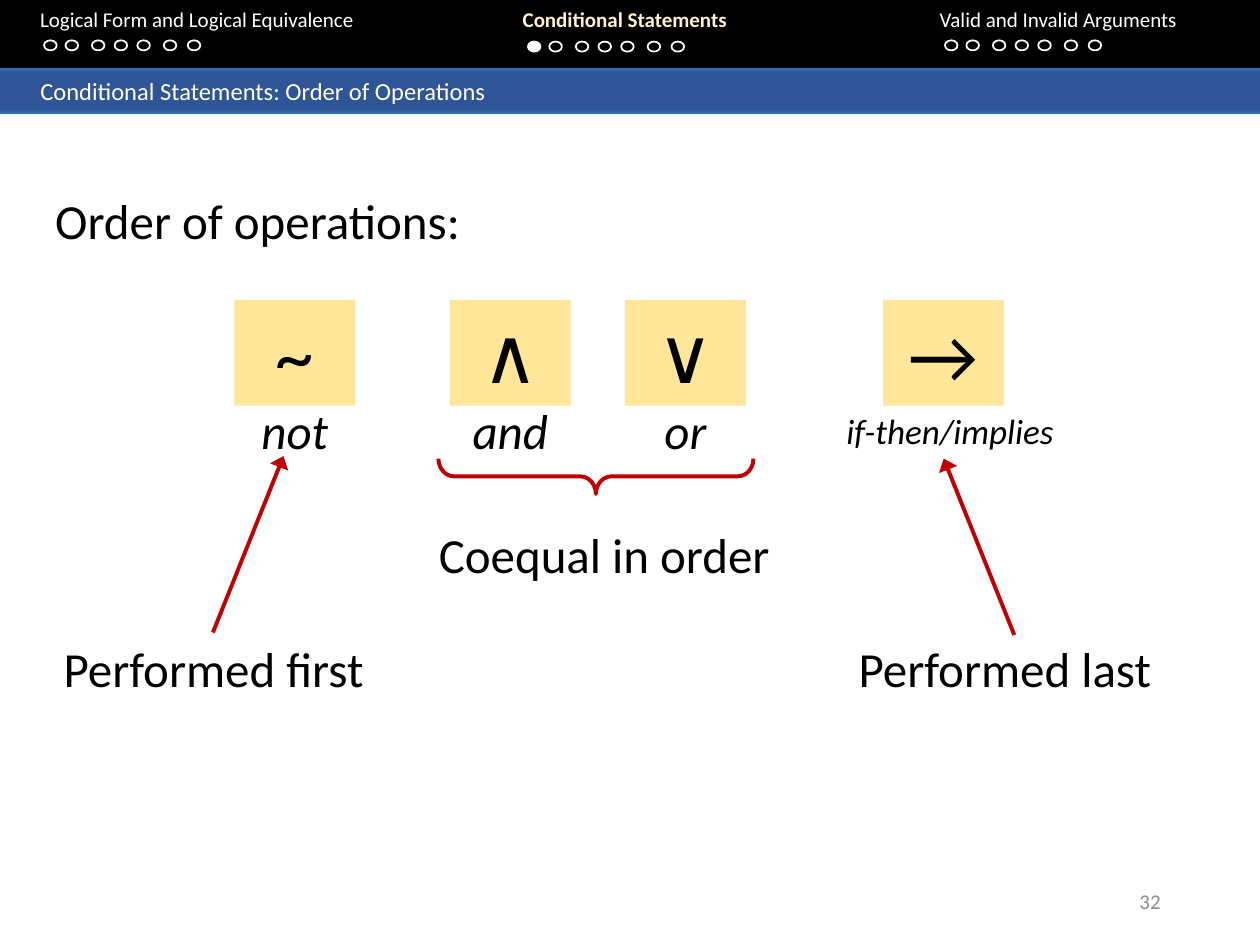
from lxml.etree import SubElement
from pptx import Presentation
from pptx.dml.color import RGBColor
from pptx.enum.shapes import MSO_CONNECTOR, MSO_SHAPE
from pptx.enum.text import MSO_ANCHOR, PP_ALIGN
from pptx.oxml import parse_xml
from pptx.oxml.ns import nsdecls, qn
from pptx.util import Inches, Pt

THEME = {
    "font": "Calibri",
    "black": "000000", "white": "FFFFFF", "active": "FFF2CC",
    "edge": "2E75B6", "bar": "2F5597", "tile": "FFE699",
    "accent": "C00000", "muted": "8C8C8C",
    "nav": 12, "title": 14, "small": 20, "body": 28, "symbol": 44,
}

prs = Presentation()
prs.slide_width, prs.slide_height = Inches(10), Inches(7.5)
slide = prs.slides.add_slide(prs.slide_layouts[6])


def add_text(text, left, top, width, height, size="body", color="black", bold=False,
             italic=False, align=PP_ALIGN.CENTER, anchor=MSO_ANCHOR.TOP, inside=None):
    """Write one line of text in a new text box, or in the shape given as inside."""
    holder = inside or slide.shapes.add_textbox(
        Inches(left), Inches(top), Inches(width), Inches(height))
    frame = holder.text_frame
    frame.word_wrap = True
    frame.vertical_anchor = anchor
    paragraph = frame.paragraphs[0]
    paragraph.alignment = align
    run = paragraph.add_run()
    run.text = text
    run.font.name = THEME["font"]
    run.font.size = Pt(THEME[size])
    run.font.bold, run.font.italic = bold, italic
    run.font.color.rgb = RGBColor.from_string(THEME[color])
    return holder


def add_figure(preset, left, top, width, height, fill=None, line=None, weight=1):
    """Draw a preset shape with an optional fill and outline."""
    figure = slide.shapes.add_shape(
        preset, Inches(left), Inches(top), Inches(width), Inches(height))
    figure.shadow.inherit = False
    if fill:
        figure.fill.solid()
        figure.fill.fore_color.rgb = RGBColor.from_string(THEME[fill])
    else:
        figure.fill.background()
    if line:
        figure.line.color.rgb = RGBColor.from_string(THEME[line])
        figure.line.width = Pt(weight)
    else:
        figure.line.fill.background()
    return figure


# Navigation header: each section has a name and seven progress dots
add_figure(MSO_SHAPE.RECTANGLE, 0, -0.02, 10, 0.56, fill="black")
dot_offsets = [0, 0.17, 0.38, 0.56, 0.74, 0.95, 1.14]
sections = [
    ("Logical Form and Logical Equivalence", 0.22, 3.5, 0.35, 0.32, False),
    ("Conditional Statements", 4.05, 2.6, 4.19, 0.33, True),
    ("Valid and Invalid Arguments", 7.36, 2.6, 7.5, 0.32, False),
]
for name, name_left, name_width, dots_left, dots_top, active in sections:
    add_text(name, name_left, 0, name_width, 0.3, size="nav", bold=active,
             color="active" if active else "white", align=PP_ALIGN.LEFT)
    for index, offset in enumerate(dot_offsets):
        current = active and index == 0
        add_figure(MSO_SHAPE.OVAL, dots_left + offset, dots_top, 0.1, 0.08,
                   fill="white" if current else None, line="white")

# Title bar with a vertical gradient
title_bar = add_figure(MSO_SHAPE.RECTANGLE, 0, 0.54, 10, 0.36, fill="bar")
stops = "".join(
    f'<a:gs pos="{percent * 1000}"><a:srgbClr val="{THEME[color]}"/></a:gs>'
    for percent, color in [(0, "edge"), (11, "bar"), (91, "bar"), (100, "edge")])
gradient = parse_xml(f'<a:gradFill {nsdecls("a")} rotWithShape="1"><a:gsLst>{stops}</a:gsLst>'
                     '<a:lin ang="5400000" scaled="0"/></a:gradFill>')
bar_properties = title_bar.element.spPr
bar_properties.replace(bar_properties.find(qn("a:solidFill")), gradient)
title_bar.text_frame.margin_left = Inches(0.32)
add_text("Conditional Statements: Order of Operations", 0, 0.54, 10, 0.36, size="title",
         color="white", align=PP_ALIGN.LEFT, anchor=MSO_ANCHOR.MIDDLE, inside=title_bar)

add_text("Order of operations:", 0.34, 1.46, 4.27, 0.57, align=PP_ALIGN.LEFT)

# Operators: symbol tile with its reading underneath
tile_width, tile_top, tile_height = 0.96, 2.38, 0.84
for symbol, reading, left in [("~", "not", 1.86), ("∧", "and", 3.57), ("∨", "or", 4.96),
                              ("→", "if-then/implies", 7.01)]:
    place = (left, tile_top, tile_width, tile_height)
    tile = add_figure(MSO_SHAPE.RECTANGLE, *place, fill="tile")
    add_text(symbol, *place, size="symbol", inside=tile)
    if symbol == "→":
        add_text(reading, 6.6, 3.2, 1.88, 0.44, size="small", italic=True)
    else:
        add_text(reading, left, 3.13, tile_width, 0.57, italic=True)

# Precedence notes, brace and arrows
for note, left, top in [("Performed first", 0.19, 5.02), ("Coequal in order", 3.29, 4.11),
                        ("Performed last", 6.47, 5.02)]:
    add_text(note, left, top, 3.01, 0.57)

brace = add_figure(MSO_SHAPE.LEFT_BRACE, 4.59, 2.53, 0.28, 2.5, line="accent", weight=2.25)
brace.rotation = 270
brace.adjustments[0] = 0.44

for start_x, start_y, end_x, end_y in [(1.69, 5.02, 2.25, 3.62), (8.05, 5.04, 7.49, 3.64)]:
    arrow = slide.shapes.add_connector(MSO_CONNECTOR.STRAIGHT, Inches(start_x), Inches(start_y),
                                       Inches(end_x), Inches(end_y))
    arrow.line.color.rgb = RGBColor.from_string(THEME["accent"])
    arrow.line.width = Pt(2.25)
    SubElement(arrow.line._get_or_add_ln(), qn("a:tailEnd"), type="triangle", w="lg", len="med")
    SubElement(arrow.element.spPr, qn("a:effectLst"))

add_text("32", 7.06, 6.95, 2.25, 0.4, size="nav", color="muted",
         align=PP_ALIGN.RIGHT, anchor=MSO_ANCHOR.MIDDLE)

prs.save("out.pptx")
